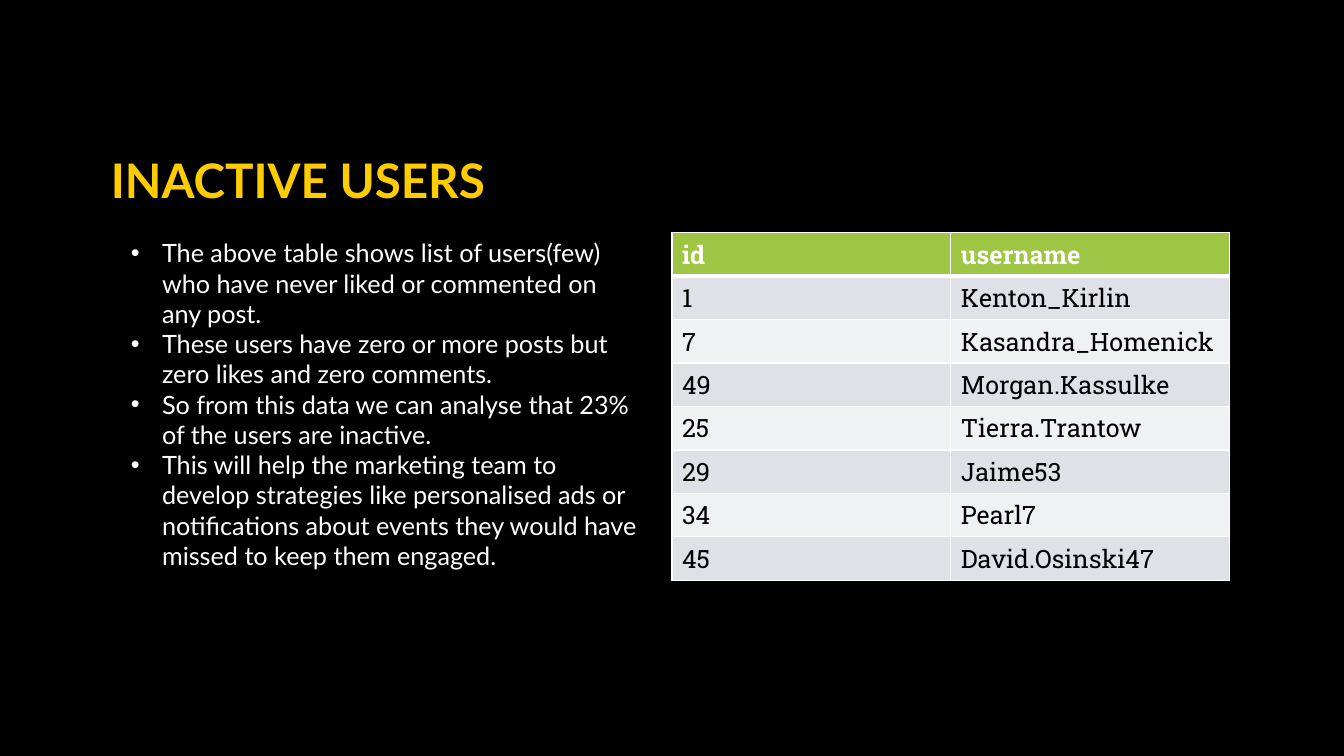
from dataclasses import dataclass

import lxml.etree
import pptx
import pptx.dml.color
import pptx.enum.text
import pptx.oxml.ns
import pptx.util

INK = {
    "back": "000000",
    "title": "FFCC00",
    "text": "FFFFFF",
    "rule": "FFFFFF",
    "head": "9EC544",
    "odd": "DEE1E5",
    "even": "EFF1F3",
    "cell": "000000",
}
WIDE = pptx.util.Inches(13.33)
HIGH = pptx.util.Inches(7.5)


@dataclass(frozen=True)
class Box:
    left: float
    top: float
    width: float
    height: float

    def place(self) -> tuple[int, int, int, int]:
        sides = (WIDE, HIGH, WIDE, HIGH)
        shares = (self.left, self.top, self.width, self.height)
        return tuple(round(side * share / 100) for side, share in zip(sides, shares))


@dataclass(frozen=True)
class Style:
    face: str
    size: int
    ink: str
    bold: bool = False


@dataclass(frozen=True)
class User:
    id: str
    username: str


TITLE = Box(7.5, 8.93, 84.92, 19.33)
TABLE = Box(50, 30.8, 41.5, 43.2)
NOTES = Box(9, 30.8, 39.46, 45.73)

POINTS = [
    "The above table shows list of users(few) who have never liked or commented on any post.",
    "These users have zero or more posts but zero likes and zero comments.",
    "So from this data we can analyse that 23% of the users are inactive.",
    "This will help the marketing team to develop strategies like personalised ads or "
    "notifications about events they would have missed to keep them engaged.",
]
USERS = [
    User("id", "username"),
    User("1", "Kenton_Kirlin"),
    User("7", "Kasandra_Homenick"),
    User("49", "Morgan.Kassulke"),
    User("25", "Tierra.Trantow"),
    User("29", "Jaime53"),
    User("34", "Pearl7"),
    User("45", "David.Osinski47"),
]


def color(name: str) -> pptx.dml.color.RGBColor:
    return pptx.dml.color.RGBColor.from_string(INK[name])


def add_node(parent, tag: str, **attrs: str):
    return lxml.etree.SubElement(parent, pptx.oxml.ns.qn(tag), **attrs)


def set_font(para, style: Style) -> None:
    font = para.font
    font.name = style.face
    font.size = pptx.util.Pt(style.size)
    font.bold = style.bold
    font.color.rgb = color(style.ink)


def add_title(slide, box: Box, text: str) -> None:
    title = slide.shapes.title
    title.left, title.top, title.width, title.height = box.place()
    frame = title.text_frame
    frame.text = text
    frame.word_wrap = True
    frame.vertical_anchor = pptx.enum.text.MSO_ANCHOR.BOTTOM
    para = frame.paragraphs[0]
    para.alignment = pptx.enum.text.PP_ALIGN.LEFT
    para.line_spacing = 0.9
    set_font(para, Style("Lato", 34, "title", True))


def add_bullet(para) -> None:
    props = para._p.get_or_add_pPr()
    dent = pptx.util.Inches(0.31)
    props.set("marL", str(dent))
    props.set("indent", str(-dent))
    tint = add_node(props, "a:buClr")
    add_node(tint, "a:srgbClr", val=INK["text"])
    add_node(props, "a:buFont", typeface="Arial")
    add_node(props, "a:buChar", char="•")


def add_notes(slide, box: Box, points: list[str]) -> None:
    frame = slide.shapes.add_textbox(*box.place()).text_frame
    frame.word_wrap = True
    frame.auto_size = pptx.enum.text.MSO_AUTO_SIZE.SHAPE_TO_FIT_TEXT
    frame.text = "\n".join(points)
    for para in frame.paragraphs:
        add_bullet(para)
        set_font(para, Style("Lato", 18, "text"))


def add_rules(cell, row: int) -> None:
    props = cell._tc.get_or_add_tcPr()
    widths = {"L": 1, "R": 1, "T": 3 if row == 1 else 1, "B": 3 if row == 0 else 1}
    for side, width in widths.items():
        line = add_node(props, f"a:ln{side}", w=str(pptx.util.Pt(width)))
        fill = add_node(line, "a:solidFill")
        add_node(fill, "a:srgbClr", val=INK["rule"])


def add_users(slide, box: Box, users: list[User]) -> None:
    table = slide.shapes.add_table(len(users), 2, *box.place()).table
    for row, user in enumerate(users):
        head = row == 0
        shade = "head" if head else "odd" if row % 2 else "even"
        style = Style("Roboto Slab", 18, "text" if head else "cell", head)
        for col, text in enumerate((user.id, user.username)):
            cell = table.cell(row, col)
            cell.text = text
            add_rules(cell, row)
            cell.fill.solid()
            cell.fill.fore_color.rgb = color(shade)
            set_font(cell.text_frame.paragraphs[0], style)


def main() -> None:
    deck = pptx.Presentation()
    deck.slide_width, deck.slide_height = WIDE, HIGH
    slide = deck.slides.add_slide(deck.slide_layouts[5])
    slide.background.fill.solid()
    slide.background.fill.fore_color.rgb = color("back")
    add_title(slide, TITLE, "INACTIVE USERS")
    add_users(slide, TABLE, USERS)
    add_notes(slide, NOTES, POINTS)
    deck.save("out.pptx")


if __name__ == "__main__":
    main()
